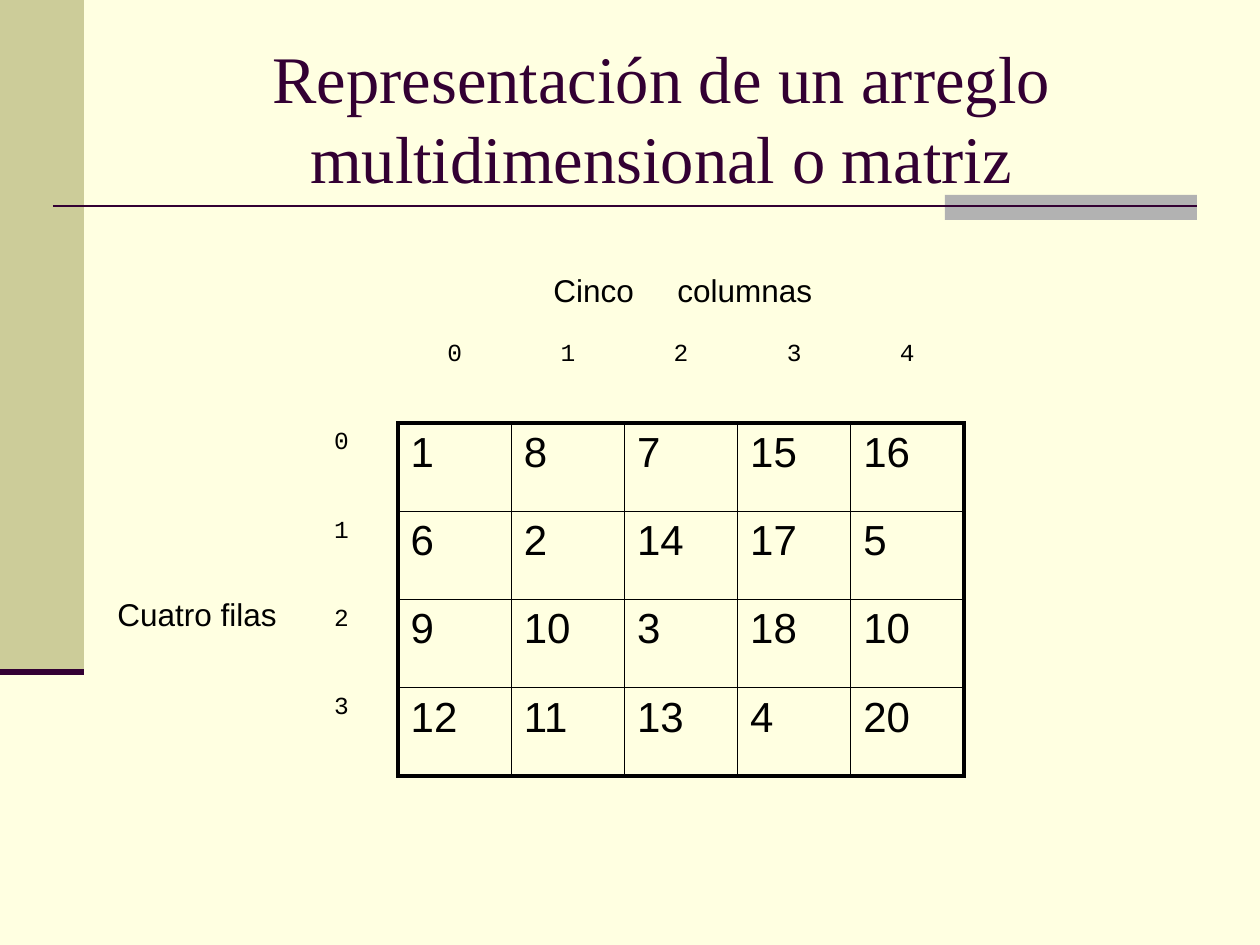
from lxml import etree
from pptx import Presentation
from pptx.dml.color import RGBColor
from pptx.enum.shapes import MSO_CONNECTOR, MSO_SHAPE
from pptx.enum.text import MSO_ANCHOR, PP_ALIGN
from pptx.oxml.ns import qn
from pptx.util import Emu, Pt

EMU_PER_INCH = 914400
PX_PER_INCH = 126
RECTANGLE = MSO_SHAPE.RECTANGLE
STRAIGHT = MSO_CONNECTOR.STRAIGHT
CENTER, LEFT = PP_ALIGN.CENTER, PP_ALIGN.LEFT
MIDDLE, TOP = MSO_ANCHOR.MIDDLE, MSO_ANCHOR.TOP

COLORS = {
    "paper": "FFFFE1",
    "band": "CCCC99",
    "accent": "B2B2B2",
    "plum": "330033",
    "ink": "000000",
}
THICK, THIN = 2.21, 0.45
MATRIX = [
    [1, 8, 7, 15, 16],
    [6, 2, 14, 17, 5],
    [9, 10, 3, 18, 10],
    [12, 11, 13, 4, 20],
]


def px(length):
    return Emu(round(length * EMU_PER_INCH / PX_PER_INCH))


def color(name):
    return RGBColor.from_string(COLORS[name])


def add_bar(page, box, fill):
    bar = page.shapes.add_shape(RECTANGLE, *map(px, box))
    bar.shadow.inherit = False
    bar.fill.solid()
    bar.fill.fore_color.rgb = color(fill)
    bar.line.fill.background()


def add_rule(page, left, right, y, width):
    rule = page.shapes.add_connector(STRAIGHT, px(left), px(y), px(right), px(y))
    rule.line.color.rgb = color("plum")
    rule.line.width = Pt(width)
    etree.SubElement(rule._element.spPr, qn("a:effectLst"))


def write(para, text, font, size, ink="ink", align=LEFT):
    para.text = text
    para.alignment = align
    for span in para.runs:
        span.font.name = font
        span.font.size = Pt(size)
        span.font.color.rgb = color(ink)


def add_text(page, box, text, font, size, ink="ink", align=LEFT, anchor=TOP):
    frame = page.shapes.add_textbox(*map(px, box)).text_frame
    frame.word_wrap = True
    frame.vertical_anchor = anchor
    para = frame.paragraphs[0]
    write(para, text, font, size, ink, align)
    return para


def set_tab_stop(para, position):
    stops = etree.SubElement(para._p.get_or_add_pPr(), qn("a:tabLst"))
    etree.SubElement(stops, qn("a:tab"), pos=str(px(position)), algn="l")


def set_borders(cell, widths):
    """Draw the left, right, top and bottom edges; None leaves an edge clear."""
    properties = cell._tc.get_or_add_tcPr()
    for place, (side, width) in enumerate(zip("LRTB", widths)):
        edge = etree.Element(qn(f"a:ln{side}"), w=str(Pt(width or 0)))
        if width:
            fill = etree.SubElement(edge, qn("a:solidFill"))
            etree.SubElement(fill, qn("a:srgbClr"), val=COLORS["ink"])
        else:
            etree.SubElement(edge, qn("a:noFill"))
        properties.insert(place, edge)


def edge_width(outside, line, last):
    """Width of a grid line: none beside headings, thick around the matrix."""
    if outside or line == 0:
        return None
    return THICK if line in (1, last) else THIN


def add_decoration(page, box):
    left, top, width, height = box
    add_bar(page, (left, top, 84, 672), "band")
    add_bar(page, (left + 945, top + 195, 252, 25), "accent")
    add_rule(page, left + 53, left + 1197, top + 206, 1.5)
    add_rule(page, left, left + 84, top + 672, 3.5)


def add_matrix(page, box):
    rows, columns = len(MATRIX) + 1, len(MATRIX[0]) + 1
    table = page.shapes.add_table(rows, columns, *map(px, box)).table
    table.first_row = table.horz_banding = False
    # Index headings in the first row and column, values inside
    grid = [["", *range(columns - 1)]]
    grid += [[index, *values] for index, values in enumerate(MATRIX)]
    for r, values in enumerate(grid):
        for c, value in enumerate(values):
            cell = table.cell(r, c)
            cell.fill.background()
            para = cell.text_frame.paragraphs[0]
            if r and c:
                write(para, str(value), "Arial", 24)
            else:
                write(para, str(value), "Courier New", 14, align=CENTER)
            set_borders(cell, (
                edge_width(r == 0, c, columns),
                edge_width(r == 0, c + 1, columns),
                edge_width(c == 0, r, rows),
                edge_width(c == 0, r + 1, rows),
            ))


def add_labels(page, box):
    left, top, width, height = box
    columns_label = add_text(page, (left + 436, top, 336, 50),
                             "Cinco\tcolumnas", "Arial", 18)
    set_tab_stop(columns_label, 124)
    add_text(page, (left, top + 324, 210, 50), "Cuatro filas", "Arial", 18)


def main():
    deck = Presentation()
    deck.slide_width, deck.slide_height = px(1260), px(945)
    page = deck.slides.add_slide(deck.slide_layouts[6])
    page.background.fill.solid()
    page.background.fill.fore_color.rgb = color("paper")

    add_decoration(page, (0, 0, 1260, 945))
    # Title
    add_text(page, (126, 38, 1071, 158),
             "Representación de un arreglo multidimensional o matriz",
             "Times New Roman", 38, "plum", CENTER, MIDDLE)
    # Matrix with its row and column labels
    add_matrix(page, (285, 335, 679, 441))
    add_labels(page, (105, 265, 860, 511))
    deck.save("out.pptx")


if __name__ == "__main__":
    main()
